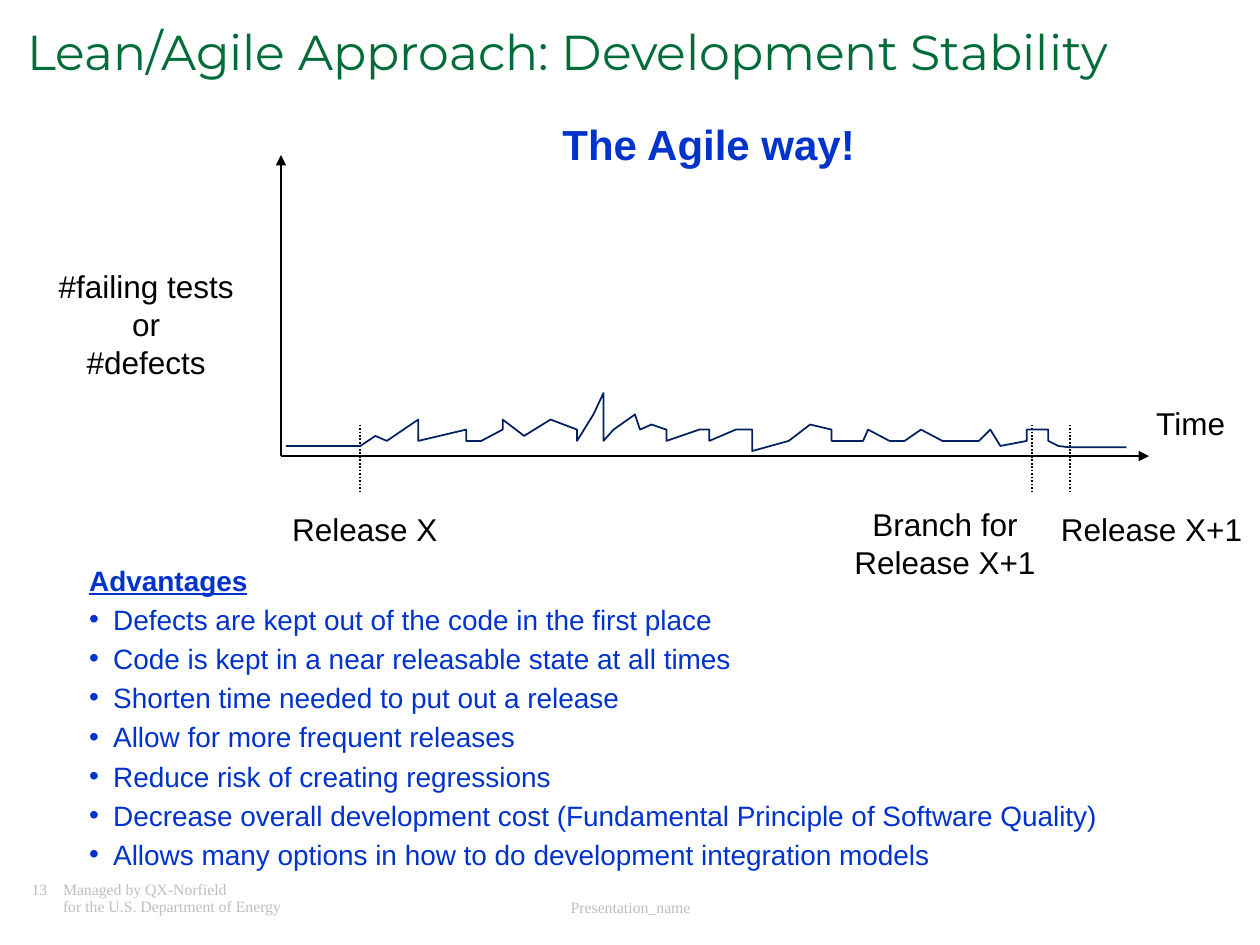
"""Build the slide on development stability with the Lean/Agile approach."""
from dataclasses import dataclass

from lxml import etree
from pptx import Presentation
from pptx.dml.color import RGBColor
from pptx.enum.dml import MSO_LINE
from pptx.enum.shapes import MSO_CONNECTOR
from pptx.enum.text import MSO_ANCHOR, PP_ALIGN
from pptx.oxml.ns import qn
from pptx.slide import Slide
from pptx.util import Inches, Pt

CENTER, LEFT = PP_ALIGN.CENTER, PP_ALIGN.LEFT
TOP = MSO_ANCHOR.TOP
STRAIGHT = MSO_CONNECTOR.STRAIGHT
SOLID, DOTTED = MSO_LINE.SOLID, MSO_LINE.ROUND_DOT

WIDTH, HEIGHT = Inches(10), Inches(7.5)
COLUMNS, ROWS = 1000, 750
CELL = WIDTH // COLUMNS
COLORS = {"title": "006C3A", "accent": "0033CC", "ink": "000000",
          "footer": "BFBFBF", "trend": "002060"}
SERIF = "Times New Roman"


@dataclass(frozen=True)
class Label:
    area: tuple[int, int, int, int]
    lines: tuple[str, ...]
    size: int = 18
    color: str = "ink"
    font: str = "Arial"
    align: PP_ALIGN = CENTER
    bold: bool = False
    spacing: float = 1.0
    inset: tuple[int, int] = (10, 5)
    tab: int = 0


@dataclass(frozen=True)
class Rule:
    start: tuple[int, int]
    end: tuple[int, int]
    dash: MSO_LINE = SOLID
    arrow: bool = False


ORIGIN = (223, 362)
RELEASE_TOP, RELEASE_BOTTOM = 337, 392
RULES = [Rule(ORIGIN, (223, 123), arrow=True), Rule(ORIGIN, (912, 362), arrow=True)]
RULES += [Rule((x, RELEASE_TOP), (x, RELEASE_BOTTOM), DOTTED) for x in (286, 819, 849)]

LABELS = [
    Label((25, 700, 308, 33),
          ("13\tManaged by QX-Norfield", "\tfor the U.S. Department of Energy"),
          9, "footer", SERIF, LEFT, spacing=0.9, inset=(0, 0), tab=25),
    Label((342, 708, 317, 20), ("Presentation_name",), 9, "footer", SERIF),
    Label((12, 19, 971, 50), ("Lean/Agile Approach: Development Stability",),
          28, "title", "Montserrat", LEFT, spacing=0.85),
    Label((36, 207, 160, 131), ("#failing tests", "or", "#defects")),
    Label((907, 316, 76, 40), ("Time",)),
    Label((222, 400, 135, 40), ("Release X",)),
    Label((668, 396, 164, 70), ("Branch for", "Release X+1")),
    Label((832, 400, 164, 40), ("Release X+1",)),
    Label((436, 89, 253, 50), ("The Agile way!",), 24, "accent", bold=True),
]

ADVANTAGES = Label(
    (42, 442, 878, 253),
    ("Advantages",
     "Defects are kept out of the code in the first place",
     "Code is kept in a near releasable state at all times",
     "Shorten time needed to put out a release",
     "Allow for more frequent releases",
     "Reduce risk of creating regressions",
     "Decrease overall development cost (Fundamental Principle of Software Quality)",
     "Allows many options in how to do development integration models"),
    16, "accent", align=LEFT)

DEFECT_TREND = [
    (227, 354), (286, 354), (298, 346), (307, 350), (332, 333), (332, 350),
    (370, 341), (370, 350), (382, 350), (399, 341), (399, 333), (416, 346),
    (437, 333), (458, 341), (458, 350), (471, 329), (479, 312), (479, 350),
    (487, 341), (504, 329), (508, 341), (517, 337), (529, 341), (529, 350),
    (555, 341), (563, 341), (563, 350), (584, 341), (597, 341), (597, 358),
    (626, 350), (643, 337), (660, 341), (660, 350), (685, 350), (689, 341),
    (706, 350), (718, 350), (731, 341), (748, 350), (777, 350), (786, 341),
    (794, 354), (815, 350), (815, 341), (832, 341), (832, 350), (840, 354),
    (848, 355), (894, 355),
]


def rgb(name: str) -> RGBColor:
    return RGBColor.from_string(COLORS[name])


def draw_label(slide: Slide, label: Label):
    frame = slide.shapes.add_textbox(*(n * CELL for n in label.area)).text_frame
    frame.word_wrap = label.align == LEFT
    frame.vertical_anchor = TOP
    side, edge = (n * CELL for n in label.inset)
    frame.margin_left = frame.margin_right = side
    frame.margin_top = frame.margin_bottom = edge
    for index, line in enumerate(label.lines):
        paragraph = frame.add_paragraph() if index else frame.paragraphs[0]
        paragraph.alignment = label.align
        paragraph.line_spacing = label.spacing
        if label.tab:
            stops = etree.SubElement(paragraph._p.get_or_add_pPr(), qn("a:tabLst"))
            etree.SubElement(stops, qn("a:tab"), pos=str(label.tab * CELL), algn="l")
        run = paragraph.add_run()
        run.text = line
        run.font.name = label.font
        run.font.size = Pt(label.size)
        run.font.bold = label.bold
        run.font.color.rgb = rgb(label.color)
    return frame


def draw_advantages(slide: Slide, label: Label) -> None:
    heading, *items = draw_label(slide, label).paragraphs
    heading.runs[0].font.bold = heading.runs[0].font.underline = True
    for paragraph in (heading, *items):
        paragraph.space_after = Pt(3.2)
        layout = paragraph._p.get_or_add_pPr()
        layout.set("marL", str(38 * CELL))
        layout.set("indent", str(-19 * CELL))
        if paragraph in items:
            etree.SubElement(layout, qn("a:buFont"), typeface=label.font)
            etree.SubElement(layout, qn("a:buChar"), char="•")


def draw_rule(slide: Slide, rule: Rule) -> None:
    ends = (n * CELL for n in (*rule.start, *rule.end))
    connector = slide.shapes.add_connector(STRAIGHT, *ends)
    connector.line.width = Pt(1)
    connector.line.color.rgb = rgb("ink")
    connector.line.dash_style = rule.dash
    if rule.arrow:
        etree.SubElement(connector.line._get_or_add_ln(), qn("a:tailEnd"), type="triangle")
    etree.SubElement(connector._element.spPr, qn("a:effectLst"))


def draw_trend(slide: Slide, points: list[tuple[int, int]]) -> None:
    builder = slide.shapes.build_freeform(*points[0], scale=CELL)
    builder.add_line_segments(points[1:], close=False)
    trend = builder.convert_to_shape()
    trend.shadow.inherit = False
    trend.fill.background()
    trend.line.width = Pt(1)
    trend.line.color.rgb = rgb("trend")


def main() -> None:
    deck = Presentation()
    deck.slide_width, deck.slide_height = WIDTH, ROWS * CELL
    slide = deck.slides.add_slide(deck.slide_layouts[6])
    for label in LABELS:
        draw_label(slide, label)
    for rule in RULES:
        draw_rule(slide, rule)
    draw_advantages(slide, ADVANTAGES)
    draw_trend(slide, DEFECT_TREND)
    deck.save("out.pptx")


if __name__ == "__main__":
    main()
